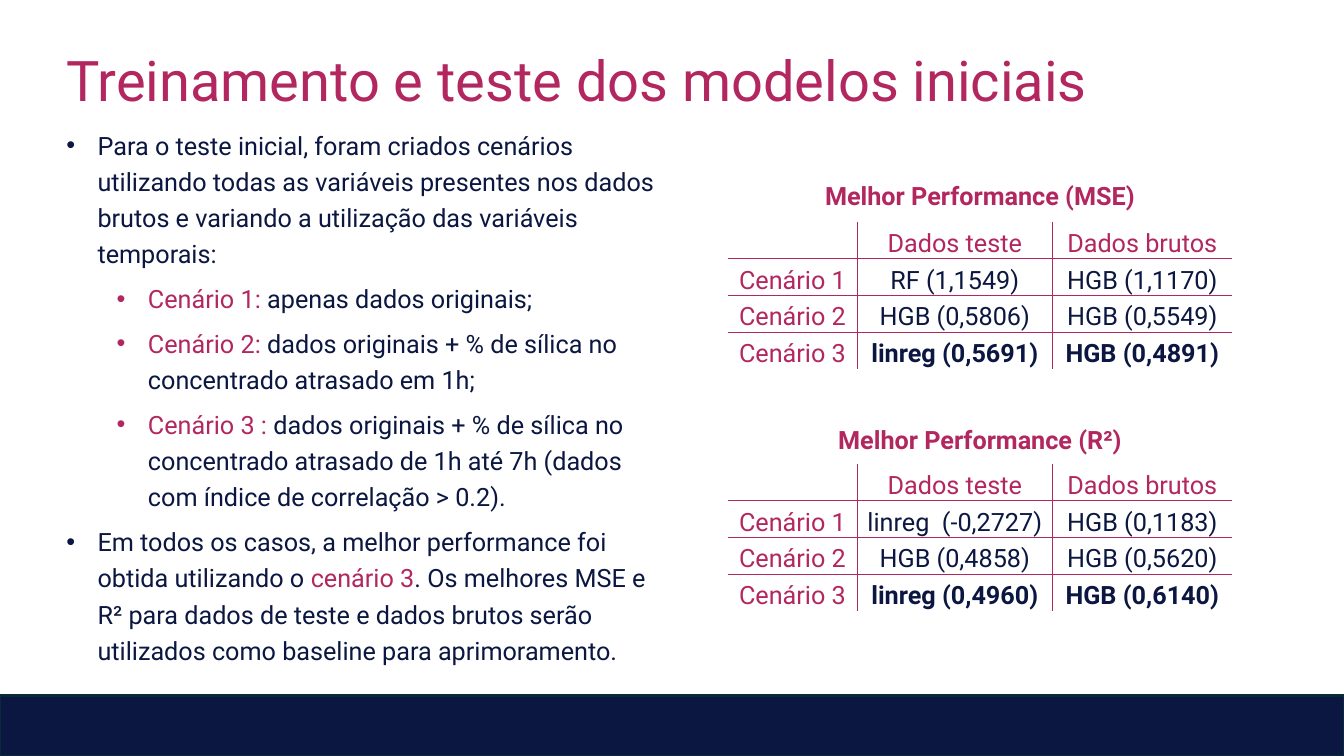
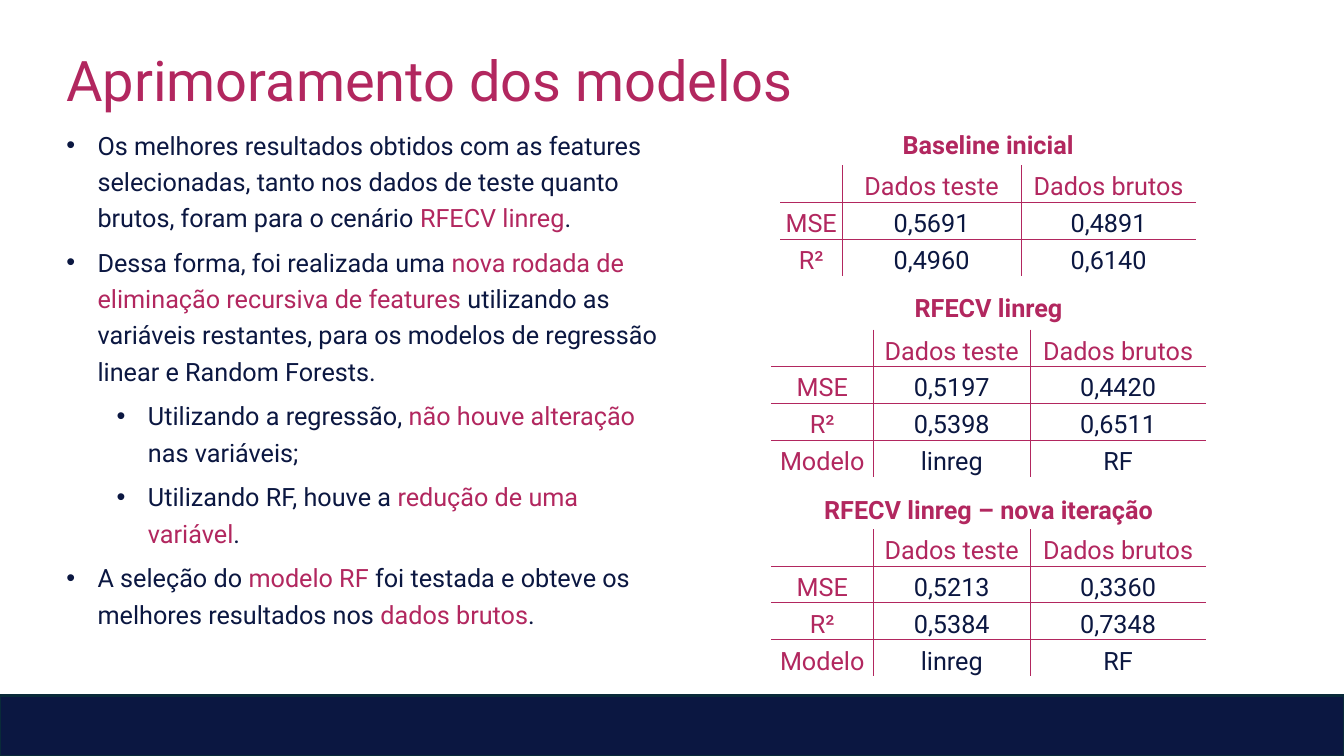
from lxml.etree import SubElement
from pptx import Presentation
from pptx.dml.color import RGBColor
from pptx.enum.shapes import MSO_SHAPE
from pptx.enum.text import MSO_ANCHOR, PP_ALIGN
from pptx.oxml.ns import qn
from pptx.util import Inches, Pt

FONT = "Roboto"
NAVY, PINK, EDGE, WHITE = "0B1741", "B2275F", "092A39", "FFFFFF"
ROW_H = 1.46 / 4
NO_STYLE = "{2D5ABB26-0587-4C30-8999-92F81FD0307C}"
HEADER = ["", "Dados teste", "Dados brutos"]
BODY_BOX = (0.56, 1.18, 6.1, 5.96)


def rgb(value):
    return RGBColor.from_string(value)


def add_run(p, text, color, size=18, bold=False):
    r = p.add_run()
    r.text = text
    r.font.name, r.font.size, r.font.bold = FONT, Pt(size), bold
    r.font.color.rgb = rgb(color)


def add_text_frame(s, box, wrap=True):
    tf = s.shapes.add_textbox(*map(Inches, box)).text_frame
    tf.word_wrap = wrap
    return tf


def add_frame(prs, title):
    s = prs.slides.add_slide(prs.slide_layouts[6])
    s.background.fill.solid()
    s.background.fill.fore_color.rgb = rgb(WHITE)
    band = s.shapes.add_shape(MSO_SHAPE.RECTANGLE, 0, Inches(6.9), prs.slide_width, Inches(0.6))
    band.shadow.inherit = False
    band.fill.solid()
    band.fill.fore_color.rgb = rgb(NAVY)
    band.line.color.rgb = rgb(EDGE)
    band.line.width = Pt(1.5)
    tf = add_text_frame(s, (0.56, 0.4, 12.2, 0.77))
    add_run(tf.paragraphs[0], title, PINK, 40)
    return s


def set_bullet(p, level, color):
    p.level = level
    p.line_spacing, p.space_after = 1.2, Pt(6)
    pPr = p._p.get_or_add_pPr()
    pPr.set("marL", str(Inches(0.31 + 0.5 * level)))
    pPr.set("indent", str(Inches(-0.31)))
    SubElement(SubElement(pPr, qn("a:buClr")), qn("a:srgbClr"), val=color)
    SubElement(pPr, qn("a:buFont"), typeface="Arial")
    SubElement(pPr, qn("a:buChar"), char="•")


def add_bullets(s, box, items):
    tf = add_text_frame(s, box)
    for i, (level, text) in enumerate(items):
        p = tf.add_paragraph() if i else tf.paragraphs[0]
        runs = [(part, PINK if n % 2 else NAVY) for n, part in enumerate(text.split("*")) if part]
        set_bullet(p, level, runs[0][1])
        for part, color in runs:
            add_run(p, part, color)


def set_borders(cell, sides):
    tcPr = cell._tc.get_or_add_tcPr()
    for side in "LRTB":
        shown = side in sides
        ln = SubElement(tcPr, qn("a:ln" + side), w=str(Pt(0.5) if shown else 0))
        if shown:
            SubElement(SubElement(ln, qn("a:solidFill")), qn("a:srgbClr"), val=PINK)
        else:
            SubElement(ln, qn("a:noFill"))


def fill_cell(cell, text, color, bold, sides):
    cell.margin_left = cell.margin_right = cell.margin_top = Inches(0.01)
    cell.margin_bottom = 0
    cell.vertical_anchor = MSO_ANCHOR.BOTTOM
    set_borders(cell, sides)
    cell.fill.background()
    p = cell.text_frame.paragraphs[0]
    p.alignment = PP_ALIGN.CENTER
    if text:
        add_run(p, text, color, bold=bold)


def add_results(s, left, top, caption, caption_top, widths, rows, bold_last=False):
    rows = [HEADER] + rows
    last_row, last_col = len(rows) - 1, len(widths) - 1
    width = sum(widths)
    frame = s.shapes.add_table(len(rows), len(widths), Inches(left), Inches(top),
                               Inches(width), Inches(ROW_H * len(rows)))
    table = frame.table
    table.first_row = table.horz_banding = False
    table._tbl.tblPr.find(qn("a:tableStyleId")).text = NO_STYLE
    for col, w in zip(table.columns, widths):
        col.width = Inches(w)
    for i, row in enumerate(rows):
        table.rows[i].height = Inches(ROW_H)
        for j, text in enumerate(row):
            inner = {"L": j > 0, "R": j < last_col, "T": i > 0, "B": i < last_row}
            sides = [side for side, shown in inner.items() if shown]
            color = NAVY if i and j else PINK
            fill_cell(table.cell(i, j), text, color, bold_last and i == last_row and j > 0, sides)
    tf = add_text_frame(s, (left + width / 2 - 2, caption_top, 4, 0.4), wrap=False)
    p = tf.paragraphs[0]
    p.alignment = PP_ALIGN.CENTER
    add_run(p, caption, PINK, bold=True)


def initial_models(prs):
    s = add_frame(prs, "Treinamento e teste dos modelos iniciais")
    add_bullets(s, BODY_BOX, [
        (0, "Para o teste inicial, foram criados cenários utilizando todas as variáveis presentes "
            "nos dados brutos e variando a utilização das variáveis temporais:"),
        (1, "*Cenário 1:* apenas dados originais;"),
        (1, "*Cenário 2:* dados originais + % de sílica no concentrado atrasado em 1h;"),
        (1, "*Cenário 3 : *dados originais + % de sílica no concentrado atrasado de 1h até 7h "
            "(dados com índice de correlação > 0.2)."),
        (0, "Em todos os casos, a melhor performance foi obtida utilizando o *cenário 3*. "
            "Os melhores MSE e R² para dados de teste e dados brutos serão utilizados como "
            "baseline para aprimoramento."),
    ])
    widths = (1.28, 1.94, 1.78)
    add_results(s, 7.22, 2.2, "Melhor Performance (MSE)", 1.74, widths, [
        ["Cenário 1", "RF (1,1549)", "HGB (1,1170)"],
        ["Cenário 2", "HGB (0,5806)", "HGB (0,5549)"],
        ["Cenário 3", "linreg (0,5691)", "HGB (0,4891)"],
    ], bold_last=True)
    add_results(s, 7.22, 4.6, "Melhor Performance (R²)", 4.16, widths, [
        ["Cenário 1", "linreg  (-0,2727)", "HGB (0,1183)"],
        ["Cenário 2", "HGB (0,4858)", "HGB (0,5620)"],
        ["Cenário 3", "linreg (0,4960)", "HGB (0,6140)"],
    ], bold_last=True)


def improved_models(prs):
    s = add_frame(prs, "Aprimoramento dos modelos")
    add_bullets(s, BODY_BOX, [
        (0, "Os melhores resultados obtidos com as features selecionadas, tanto nos dados de "
            "teste quanto brutos, foram para o cenário *RFECV linreg*."),
        (0, "Dessa forma, foi realizada uma *nova rodada de eliminação recursiva de features "
            "*utilizando as variáveis restantes, para os modelos de regressão linear e "
            "Random Forests."),
        (1, "Utilizando a regressão, *não houve alteração* nas variáveis;"),
        (1, "Utilizando RF, houve a *redução de uma variável*."),
        (0, "A seleção do *modelo RF *foi testada e obteve os melhores resultados nos "
            "*dados brutos*."),
    ])
    add_results(s, 7.74, 1.64, "Baseline inicial", 1.23, (0.61, 1.78, 1.73), [
        ["MSE", "0,5691", "0,4891"],
        ["R²", "0,4960", "0,6140"],
    ])
    widths = (1.01, 1.56, 1.74)
    add_results(s, 7.65, 3.27, "RFECV linreg", 2.85, widths, [
        ["MSE", "0,5197", "0,4420"],
        ["R²", "0,5398", "0,6511"],
        ["Modelo", "linreg", "RF"],
    ])
    add_results(s, 7.65, 5.25, "RFECV linreg – nova iteração", 4.85, widths, [
        ["MSE", "0,5213", "0,3360"],
        ["R²", "0,5384", "0,7348"],
        ["Modelo", "linreg", "RF"],
    ])


def main():
    prs = Presentation()
    prs.slide_width, prs.slide_height = Inches(13.33), Inches(7.5)
    initial_models(prs)
    improved_models(prs)
    prs.save("out.pptx")


if __name__ == "__main__":
    main()
